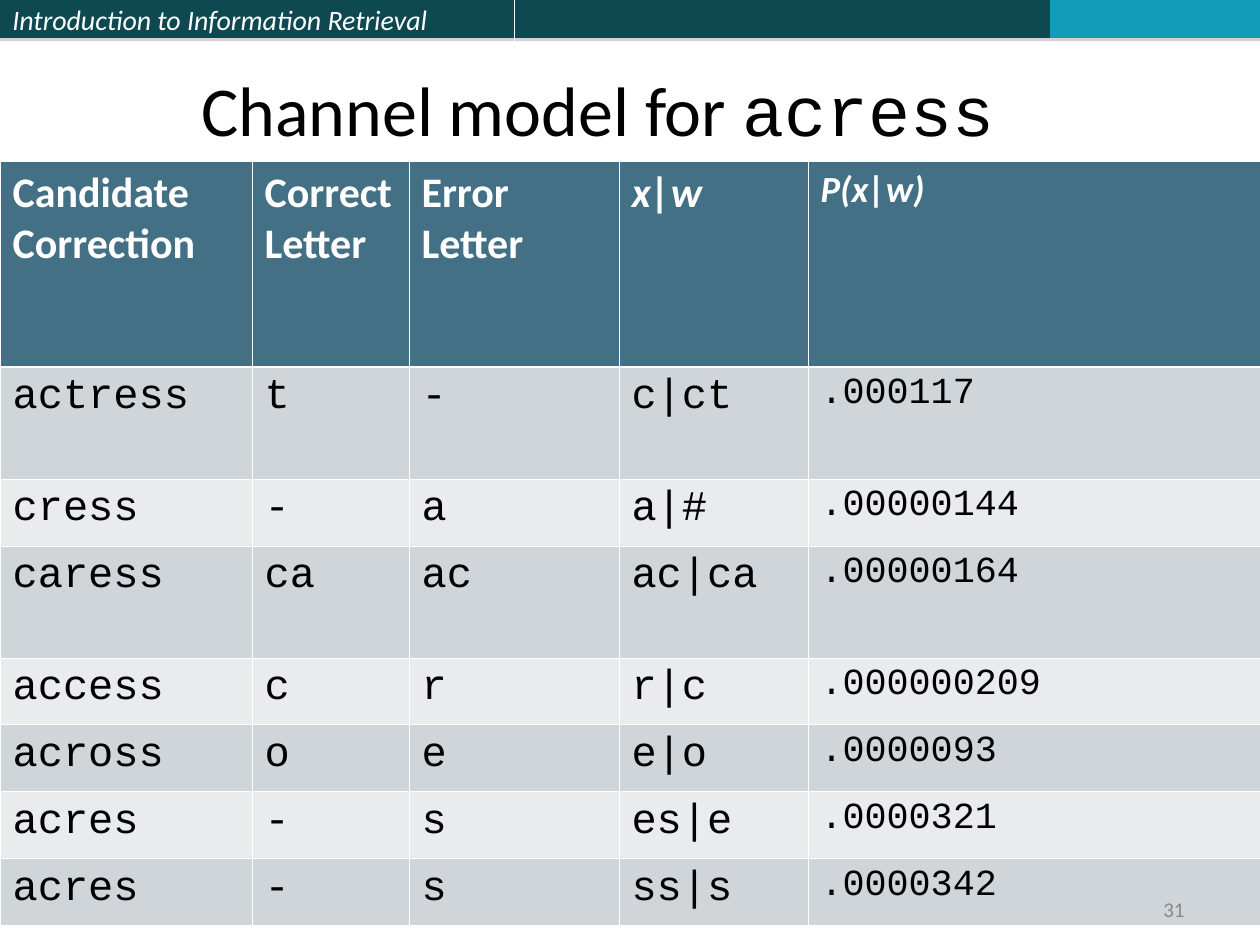
from lxml.etree import SubElement as Sub
from pptx import Presentation
from pptx.dml.color import RGBColor
from pptx.enum.shapes import MSO_SHAPE as Kind
from pptx.enum.text import MSO_ANCHOR as Anchor, PP_ALIGN as Align
from pptx.oxml.ns import qn
from pptx.util import Emu, Pt

SCALE = 914400 / 126
SANS, MONO = "Calibri", "Courier New"
WHITE, BLACK, GREY = "FFFFFF", "000000", "898989"
DARK, CYAN, HEAD = "0E4851", "139CB7", "437085"
BANDS = ["CFD5D9", "E9EBED"]
BIG, SMALL = 24, 21
THIN, THICK = 0.45, 1.47

COLS = [252, 157, 210, 189, 452]
TALL, LOW = 112, 67
HIGHS = [206, TALL, LOW, TALL] + [LOW] * 4
HEADS = ["Candidate Correction", "Correct Letter", "Error Letter", "x|w", "P(x|w)"]
ROWS = [
    ["actress", "t", "-", "c|ct", ".000117"],
    ["cress", "-", "a", "a|#", ".00000144"],
    ["caress", "ca", "ac", "ac|ca", ".00000164"],
    ["access", "c", "r", "r|c", ".000000209"],
    ["across", "o", "e", "e|o", ".0000093"],
    ["acres", "-", "s", "es|e", ".0000321"],
    ["acres", "-", "s", "ss|s", ".0000342"],
]


def px(num):
    return Emu(round(num * SCALE))


def color(code):
    return RGBColor.from_string(code)


def write(para, text, size=BIG, face=SANS, ink=BLACK, bold=False, slant=False):
    run = para.add_run()
    run.text = text
    font = run.font
    font.size, font.name = Pt(size), face
    font.bold, font.italic = bold, slant
    font.color.rgb = color(ink)


def paint(node, code):
    fill = Sub(node, qn("a:solidFill"))
    return Sub(fill, qn("a:srgbClr"), val=code)


class Deck:
    def __init__(self):
        self.prs = Presentation()
        self.prs.slide_width, self.prs.slide_height = px(1260), px(945)
        self.slide = self.prs.slides.add_slide(self.prs.slide_layouts[6])
        self.shapes = self.slide.shapes

    def frame(self, shape, anchor):
        frame = shape.text_frame
        frame.word_wrap = True
        frame.vertical_anchor = anchor
        return frame.paragraphs[0]

    def bar(self, left, wide, code):
        bar = self.shapes.add_shape(Kind.RECTANGLE, px(left), 0, px(wide), px(38))
        bar.fill.solid()
        bar.fill.fore_color.rgb = color(code)
        bar.line.fill.background()
        bar.shadow.inherit = False
        glow = bar._element.spPr.find(qn("a:effectLst"))
        shade = Sub(glow, qn("a:outerShdw"), blurRad="0", dist=str(Pt(1.8)),
                    dir="5400000", rotWithShape="0")
        tone = Sub(shade, qn("a:srgbClr"), val=GREY if code is None else "808080")
        Sub(tone, qn("a:alpha"), val="35000")
        return bar

    def label(self, left, top, wide, high, anchor, align=Align.LEFT):
        box = self.shapes.add_textbox(px(left), px(top), px(wide), px(high))
        para = self.frame(box, anchor)
        para.alignment = align
        return para

    def edges(self, cell, row):
        props = cell._tc.get_or_add_tcPr()
        widths = {
            "L": THIN,
            "R": THIN,
            "T": THICK if row == 1 else THIN,
            "B": THICK if row == 0 else THIN,
        }
        for side, wide in widths.items():
            edge = Sub(props, qn("a:ln" + side), w=str(Pt(wide)))
            paint(edge, WHITE)

    def table(self, left, top, rows, cols, highs):
        grid = self.shapes.add_table(len(rows), len(cols), px(left), px(top),
                                     px(sum(cols)), px(sum(highs))).table
        grid.first_row = grid.horz_banding = False
        for col, wide in zip(grid.columns, cols):
            col.width = px(wide)
        for row, high in zip(grid.rows, highs):
            row.height = px(high)
        for r, row in enumerate(rows):
            for c, text in enumerate(row):
                cell = grid.cell(r, c)
                self.edges(cell, r)
                cell.fill.solid()
                cell.fill.fore_color.rgb = color(BANDS[(r - 1) % 2] if r else HEAD)
                size = SMALL if c == len(cols) - 1 else BIG
                para = cell.text_frame.paragraphs[0]
                if r:
                    write(para, text, size, MONO)
                else:
                    write(para, text, size, ink=WHITE, bold=True, slant=c > 2)


def main():
    deck = Deck()
    first = deck.bar(0, 514, DARK)
    para = deck.frame(first, Anchor.MIDDLE)
    para.alignment = Align.LEFT
    write(para, "Introduction to Information Retrieval", 16, ink=WHITE, slant=True)
    deck.bar(515, 535, DARK)
    deck.bar(1050, 210, CYAN)

    title = deck.label(189, 21, 1029, 136, Anchor.BOTTOM)
    write(title, "Channel model for ", 40)
    write(title, "acress", 40, MONO)

    deck.table(0, 161, [HEADS] + ROWS, COLS, HIGHS)

    page = deck.label(903, 892, 294, 34, Anchor.MIDDLE, Align.RIGHT)
    write(page, "31", 12, ink=GREY)
    deck.prs.save("out.pptx")


if __name__ == "__main__":
    main()
